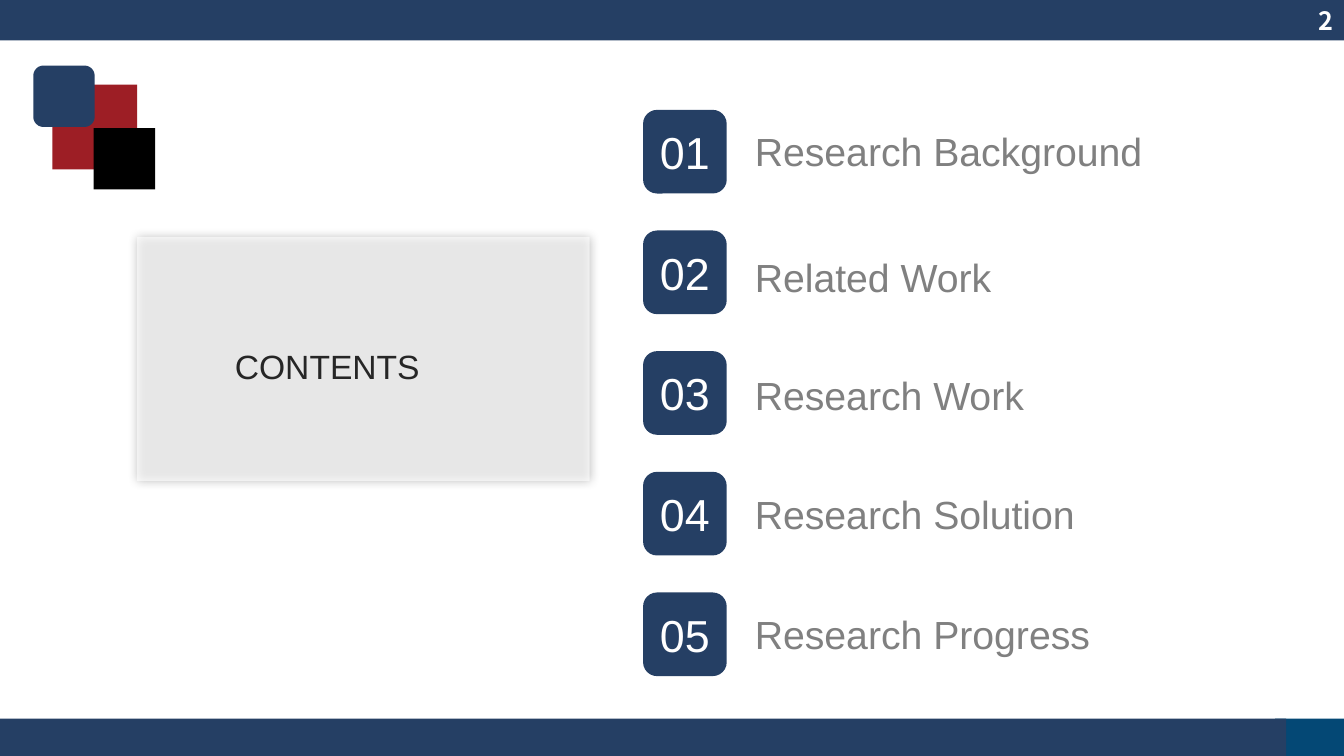
from lxml.etree import SubElement
from pptx import Presentation
from pptx.dml.color import RGBColor
from pptx.enum.shapes import MSO_SHAPE
from pptx.enum.text import MSO_ANCHOR, MSO_AUTO_SIZE, PP_ALIGN
from pptx.oxml.ns import qn
from pptx.util import Inches, Pt

NAVY = RGBColor(0x25, 0x3F, 0x64)
TEAL = RGBColor(0x04, 0x48, 0x75)
RED = RGBColor(0x9D, 0x1E, 0x25)
BLACK = RGBColor(0, 0, 0)
WHITE = RGBColor(0xFF, 0xFF, 0xFF)
GREY = RGBColor(0x80, 0x80, 0x80)
CHARCOAL = RGBColor(0x26, 0x26, 0x26)

CELL = Inches(0.1)
COLUMNS, ROWS = 133.33, 75
BAR_BOTTOM = 4
BADGE_SIZE = 8.3
BADGE_COLUMN, LABEL_COLUMN = 63.8, 73.9
FIRST_ROW, ROW_PITCH = 10.9, 11.97
TOPICS = [
    ("Research Background", 1.2),
    ("Related Work", 1.8),
    ("Research Work", 1.5),
    ("Research Solution", 1.3),
    ("Research Progress", 1.3),
]


def cells(*counts):
    """Convert counts of grid cells to lengths."""
    return [round(count * CELL) for count in counts]


def add_block(slide, box, color, outline=MSO_SHAPE.RECTANGLE):
    """Add a flat filled shape without a border."""
    block = slide.shapes.add_shape(outline, *cells(*box))
    block.shadow.inherit = False
    block.fill.solid()
    block.fill.fore_color.rgb = color
    block.line.fill.background()
    return block


def write(holder, text, size, color, align=PP_ALIGN.LEFT, anchor=MSO_ANCHOR.TOP,
          face="Arial", bold=False):
    """Write one formatted line into a text holder."""
    frame = holder.text_frame
    frame.text = text
    frame.word_wrap = True
    frame.auto_size = MSO_AUTO_SIZE.NONE
    frame.vertical_anchor = anchor
    line = frame.paragraphs[0]
    line.alignment = align
    line.font.name = face
    line.font.size = Pt(size)
    line.font.bold = bold
    line.font.color.rgb = color


def add_label(slide, box, text, size, color, **style):
    """Add a text box holding one line."""
    write(slide.shapes.add_textbox(*cells(*box)), text, size, color, **style)


def add_glass_panel(slide, box):
    """Add a translucent white panel with a soft shadow all round."""
    panel = add_block(slide, box, WHITE)
    properties = panel._element.spPr
    fill_color = properties.find(qn("a:solidFill")).find(qn("a:srgbClr"))
    SubElement(fill_color, qn("a:alpha"), val="63000")
    shadow = SubElement(properties.find(qn("a:effectLst")), qn("a:outerShdw"),
                        blurRad=str(Pt(7)), dist="0", dir="0", algn="ctr", rotWithShape="0")
    shadow_color = SubElement(shadow, qn("a:srgbClr"), val="000000")
    SubElement(shadow_color, qn("a:alpha"), val="40000")


def place_title(slide, box, text):
    """Move the title in front of the panel and format it."""
    title = slide.shapes.title
    title.left, title.top, title.width, title.height = cells(*box)
    write(title, text, 24, CHARCOAL, align=PP_ALIGN.JUSTIFY)
    slide.shapes._spTree.append(title._element)


def add_topic(slide, index, topic, label_drop):
    """Add a numbered badge and its topic label."""
    row = FIRST_ROW + index * ROW_PITCH
    add_label(slide, (LABEL_COLUMN, row + label_drop, 57.6, 5.7), topic, 28, GREY)
    badge = add_block(slide, (BADGE_COLUMN, row, BADGE_SIZE, BADGE_SIZE), NAVY,
                      MSO_SHAPE.ROUNDED_RECTANGLE)
    write(badge, f"{index + 1:02}", 32, WHITE, align=PP_ALIGN.CENTER,
          anchor=MSO_ANCHOR.MIDDLE)


def add_emblem(slide):
    """Add the overlapping corner squares."""
    add_block(slide, (5.2, 8.4, 8.4, 8.4), RED)
    add_block(slide, (9.3, 12.7, 6.1, 6.1), BLACK)
    add_block(slide, (3.3, 6.5, 6.1, 6.1), NAVY, MSO_SHAPE.ROUNDED_RECTANGLE)


def main():
    """Build the contents slide."""
    deck = Presentation()
    deck.slide_width, deck.slide_height = cells(COLUMNS, ROWS)
    slide = deck.slides.add_slide(deck.slide_layouts[5])
    add_block(slide, (0, -0.1, COLUMNS, BAR_BOTTOM + 0.1), NAVY)
    add_block(slide, (126.5, 71.3, 6.83, 3.7), TEAL)
    add_block(slide, (0, 71.3, 127.6, 3.7), NAVY)
    add_glass_panel(slide, (13.6, 23.5, 44.9, 24.2))
    place_title(slide, (22.3, 33.8, 29.2, 5), "CONTENTS")
    for index, (topic, label_drop) in enumerate(TOPICS):
        add_topic(slide, index, topic, label_drop)
    add_emblem(slide)
    add_label(slide, (117.4, 0, 15.9, BAR_BOTTOM), "2", 18, WHITE, align=PP_ALIGN.RIGHT,
              anchor=MSO_ANCHOR.MIDDLE, face="Noto Sans CJK SC", bold=True)
    deck.save("out.pptx")


if __name__ == "__main__":
    main()
